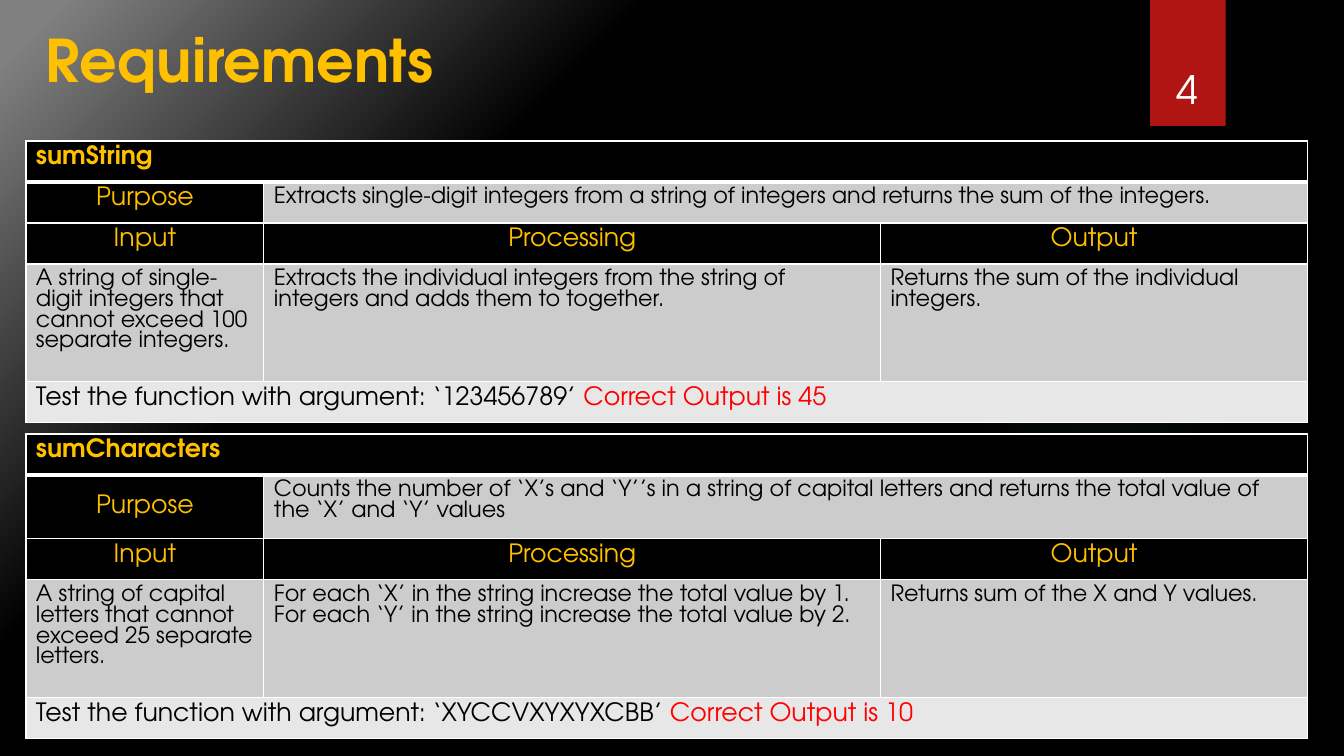
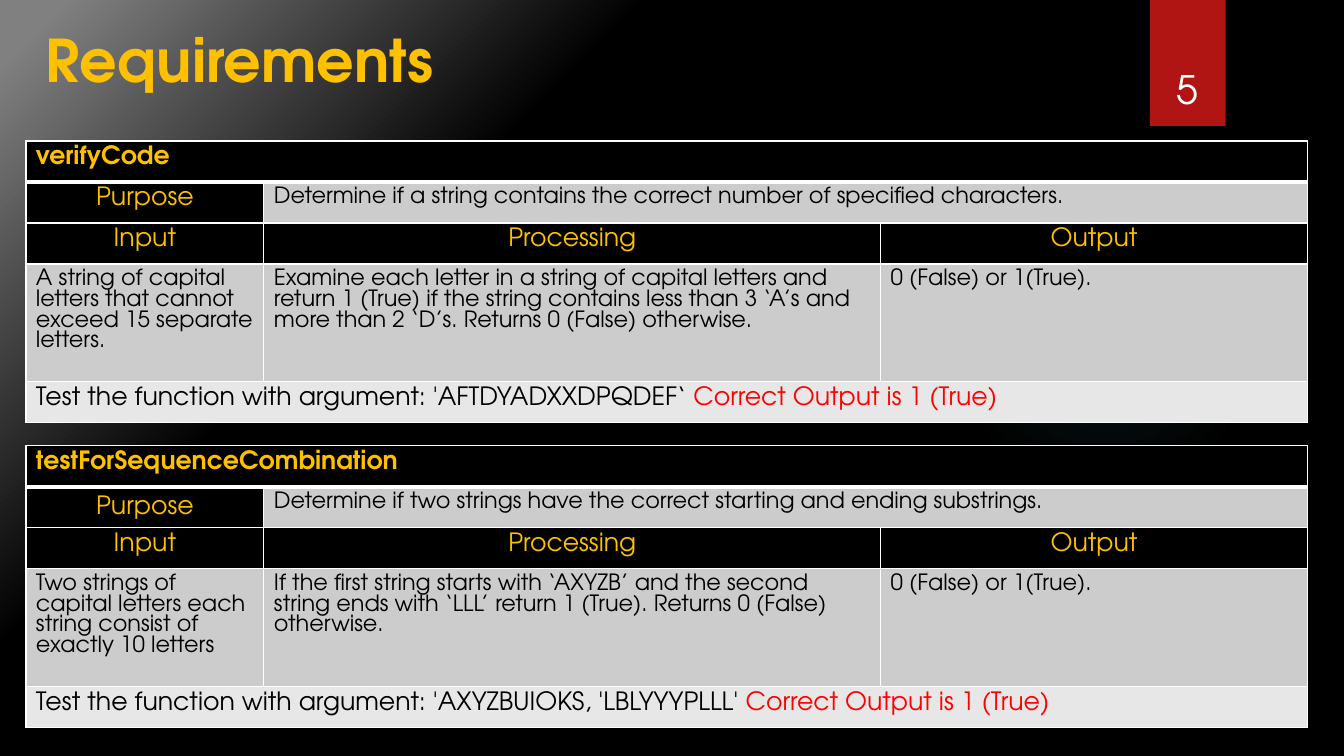
from dataclasses import dataclass
from typing import Optional

from lxml import etree
from pptx import Presentation
from pptx.dml.color import RGBColor
from pptx.enum.shapes import MSO_SHAPE
from pptx.enum.text import MSO_ANCHOR, MSO_AUTO_SIZE, PP_ALIGN
from pptx.oxml import parse_xml
from pptx.oxml.ns import nsdecls, qn
from pptx.util import Pt

LEFT, CENTER = PP_ALIGN.LEFT, PP_ALIGN.CENTER
TOP, MIDDLE, BOTTOM = MSO_ANCHOR.TOP, MSO_ANCHOR.MIDDLE, MSO_ANCHOR.BOTTOM
FIXED_SIZE = MSO_AUTO_SIZE.NONE
ELLIPSE, RECTANGLE = MSO_SHAPE.OVAL, MSO_SHAPE.RECTANGLE

FONT = "TeX Gyre Adventor"
BLACK, WHITE, GOLD, RED = "000000", "FFFFFF", "FFC000", "FF0000"
BAND_RED, GLOW_TEAL = "B01513", "50B9C1"
ANSWER_GRAY, TEST_GRAY = "CCCCCC", "E7E7E7"
TITLE_ONLY_LAYOUT = 5
TABLE_LEFT = 18.5
COLUMN_WIDTHS = (170, 440.5, 305)
ROW_HEIGHT, DETAIL_HEIGHT = 29.3, 67
FIRST_SLIDE_NUMBER = 4


@dataclass(frozen=True)
class TextRun:
    text: str
    size: float
    color: str
    bold: bool = False


@dataclass(frozen=True)
class GradientStop:
    position: int
    color: str
    opacity: int = 100


@dataclass(frozen=True)
class CellStyle:
    fill: str
    size: float
    color: str
    align: PP_ALIGN = LEFT
    bold: bool = False


@dataclass(frozen=True)
class Requirement:
    function: str
    purpose: str
    input: str
    processing: tuple[str, ...]
    output: str
    argument: str
    result: str
    top: float = 100.7
    purpose_height: float = ROW_HEIGHT
    purpose_anchor: MSO_ANCHOR = TOP


NAME = CellStyle(BLACK, 18, GOLD, bold=True)
LABEL = CellStyle(BLACK, 18, GOLD, CENTER)
ANSWER = CellStyle(ANSWER_GRAY, 16, BLACK)
TEST = CellStyle(TEST_GRAY, 18, BLACK)

SLIDES = (
    (
        Requirement(
            "sumString",
            "Extracts single-digit integers from a string of integers and returns the sum of the integers.",
            "A string of single-digit integers that cannot exceed 100 separate integers.",
            ("Extracts the individual integers from the string of integers and adds them to together.",),
            "Returns the sum of the individual integers.",
            "‘123456789’",
            "45",
        ),
        Requirement(
            "sumCharacters",
            "Counts the number of ‘X’s and ‘Y’’s in a string of capital letters and returns "
            "the total value of the ‘X’ and ‘Y’ values",
            "A string of capital letters that cannot exceed 25 separate letters.",
            (
                "For each ‘X’ in the string increase the total value by 1.",
                "For each ‘Y’ in the string increase the total value by 2.",
            ),
            "Returns sum of the X and Y values.",
            "‘XYCCVXYXYXCBB’",
            "10",
            top=310,
            purpose_height=36.5,
            purpose_anchor=MIDDLE,
        ),
    ),
    (
        Requirement(
            "verifyCode",
            "Determine if a string contains the correct number of specified characters.",
            "A string of capital letters that cannot exceed 15 separate letters.",
            (
                "Examine each letter in a string of capital letters and return 1 (True) if the string "
                "contains less than 3 ‘A’s and more than 2 ‘D’s. Returns 0 (False) otherwise.",
            ),
            "0 (False) or 1(True).",
            "'AFTDYADXXDPQDEF‘",
            "1 (True)",
        ),
        Requirement(
            "testForSequenceCombination",
            "Determine if two strings have the correct starting and ending substrings.",
            "Two strings of capital letters each string consist of exactly 10 letters",
            (
                "If the first string starts with ‘AXYZB’ and the second string ends with ‘LLL’ "
                "return 1 (True). Returns 0 (False) otherwise.",
            ),
            "0 (False) or 1(True).",
            "'AXYZBUIOKS, 'LBLYYYPLLL'",
            "1 (True)",
            top=318.4,
            purpose_anchor=MIDDLE,
        ),
    ),
)


def rgb(color: str) -> RGBColor:
    return RGBColor.from_string(color)


def write_paragraph(paragraph, runs: tuple[TextRun, ...], align: PP_ALIGN = LEFT) -> None:
    paragraph.alignment = align
    for part in runs:
        run = paragraph.add_run()
        run.text = part.text
        run.font.name = FONT
        run.font.size = Pt(part.size)
        run.font.bold = part.bold
        run.font.color.rgb = rgb(part.color)


def replace_with_radial(owner, stops: tuple[GradientStop, ...], focus: tuple[int, ...]) -> None:
    stop_xml = "".join(
        f'<a:gs pos="{stop.position * 1000}"><a:srgbClr val="{stop.color}">'
        f'<a:alpha val="{stop.opacity * 1000}"/></a:srgbClr></a:gs>'
        for stop in stops
    )
    left, top, right, bottom = (side * 1000 for side in focus)
    gradient = parse_xml(
        f'<a:gradFill {nsdecls("a")} rotWithShape="1"><a:gsLst>{stop_xml}</a:gsLst>'
        f'<a:path path="circle"><a:fillToRect l="{left}" t="{top}" r="{right}" b="{bottom}"/>'
        "</a:path></a:gradFill>"
    )
    owner.replace(owner.find(qn("a:solidFill")), gradient)


def add_backdrop_shape(slide, preset: MSO_SHAPE, left: float, top: float, width: float, height: float, color: str):
    shape = slide.shapes.add_shape(preset, Pt(left), Pt(top), Pt(width), Pt(height))
    shape.shadow.inherit = False
    shape.fill.solid()
    shape.fill.fore_color.rgb = rgb(color)
    shape.line.fill.background()
    return shape


def build_layout(layout, slide) -> None:
    layout.background.fill.solid()
    replace_with_radial(
        layout.element.xpath(".//p:bgPr")[0],
        (GradientStop(0, BLACK), GradientStop(23, BLACK), GradientStop(69, BLACK), GradientStop(97, "808080")),
        (100, 100, 0, 0),
    )
    glow = add_backdrop_shape(slide, ELLIPSE, 677.5, 131.8, 221.8, 221.8, GLOW_TEAL)
    replace_with_radial(
        glow.element.spPr,
        (GradientStop(0, GLOW_TEAL, 7), GradientStop(36, GLOW_TEAL, 6), GradientStop(69, GLOW_TEAL, 0)),
        (50, 50, 50, 50),
    )
    number_band = add_backdrop_shape(slide, RECTANGLE, 821.5, 0, 54, 90, BAND_RED)
    shadow = etree.SubElement(
        number_band.element.spPr.find(qn("a:effectLst")),
        qn("a:outerShdw"),
        blurRad=str(Pt(3)), dist=str(Pt(2)), dir="5400000", rotWithShape="0",
    )
    shadow_color = etree.SubElement(shadow, qn("a:srgbClr"), val=BLACK)
    etree.SubElement(shadow_color, qn("a:alpha"), val="45000")
    for order, shape in enumerate((glow, number_band)):
        shape.element.nvSpPr.cNvPr.set("id", str(100 + order))
        layout.shapes.element.insert(2 + order, shape.element)


def add_heading(slide, number: int) -> None:
    title = slide.shapes.title
    title.left, title.top, title.width, title.height = Pt(25.2), Pt(13.7), Pt(311), Pt(57.6)
    title.text_frame.auto_size = FIXED_SIZE
    title.text_frame.vertical_anchor = BOTTOM
    write_paragraph(title.text_frame.paragraphs[0], (TextRun("Requirements", 42, GOLD, True),))

    page_number = slide.shapes.add_textbox(Pt(815), Pt(23), Pt(66.2), Pt(60.5)).text_frame
    page_number.word_wrap = True
    page_number.vertical_anchor = BOTTOM
    write_paragraph(page_number.paragraphs[0], (TextRun(str(number), 28, WHITE),), CENTER)


def set_borders(cell, top: float, bottom: float) -> None:
    properties = cell._tc.get_or_add_tcPr()
    for order, (side, width) in enumerate((("L", 1), ("R", 1), ("T", top), ("B", bottom))):
        border = parse_xml(
            f'<a:ln{side} {nsdecls("a")} w="{Pt(width)}"><a:solidFill>'
            f'<a:srgbClr val="{WHITE}"/></a:solidFill></a:ln{side}>'
        )
        properties.insert(order, border)


def fill_cell(cell, style: CellStyle, lines: tuple[str, ...], ending: Optional[TextRun] = None) -> None:
    cell.fill.solid()
    cell.fill.fore_color.rgb = rgb(style.fill)
    frame = cell.text_frame
    for index, line in enumerate(lines):
        paragraph = frame.add_paragraph() if index else frame.paragraphs[0]
        runs = (TextRun(line, style.size, style.color, style.bold),)
        write_paragraph(paragraph, runs + ((ending,) if ending else ()), style.align)


def add_requirement(slide, requirement: Requirement) -> None:
    heights = (ROW_HEIGHT, requirement.purpose_height, ROW_HEIGHT, DETAIL_HEIGHT, ROW_HEIGHT)
    table = slide.shapes.add_table(
        len(heights), len(COLUMN_WIDTHS),
        Pt(TABLE_LEFT), Pt(requirement.top), Pt(sum(COLUMN_WIDTHS)), Pt(sum(heights)),
    ).table
    table.horz_banding = False
    for column, width in zip(table.columns, COLUMN_WIDTHS):
        column.width = Pt(width)
    for index, (row, height) in enumerate(zip(table.rows, heights)):
        row.height = Pt(height)
        for cell in row.cells:
            set_borders(cell, 3 if index == 1 else 1, 3 if index == 0 else 1)
    for row, first_column in ((0, 0), (1, 1), (4, 0)):
        table.cell(row, first_column).merge(table.cell(row, 2))

    fill_cell(table.cell(0, 0), NAME, (requirement.function,))
    fill_cell(table.cell(1, 0), LABEL, ("Purpose",))
    table.cell(1, 0).vertical_anchor = requirement.purpose_anchor
    fill_cell(table.cell(1, 1), ANSWER, (requirement.purpose,))
    details = (
        ("Input", (requirement.input,)),
        ("Processing", requirement.processing),
        ("Output", (requirement.output,)),
    )
    for column, (label, lines) in enumerate(details):
        fill_cell(table.cell(2, column), LABEL, (label,))
        fill_cell(table.cell(3, column), ANSWER, lines)
    fill_cell(
        table.cell(4, 0), TEST,
        (f"Test the function with argument: {requirement.argument} ",),
        TextRun(f"Correct Output is {requirement.result}", TEST.size, RED),
    )


def main() -> None:
    deck = Presentation()
    deck.slide_width, deck.slide_height = Pt(960), Pt(540)
    layout = deck.slide_layouts[TITLE_ONLY_LAYOUT]
    for number, requirements in enumerate(SLIDES, FIRST_SLIDE_NUMBER):
        slide = deck.slides.add_slide(layout)
        if number == FIRST_SLIDE_NUMBER:
            build_layout(layout, slide)
        add_heading(slide, number)
        for requirement in requirements:
            add_requirement(slide, requirement)
    deck.save("out.pptx")


if __name__ == "__main__":
    main()
